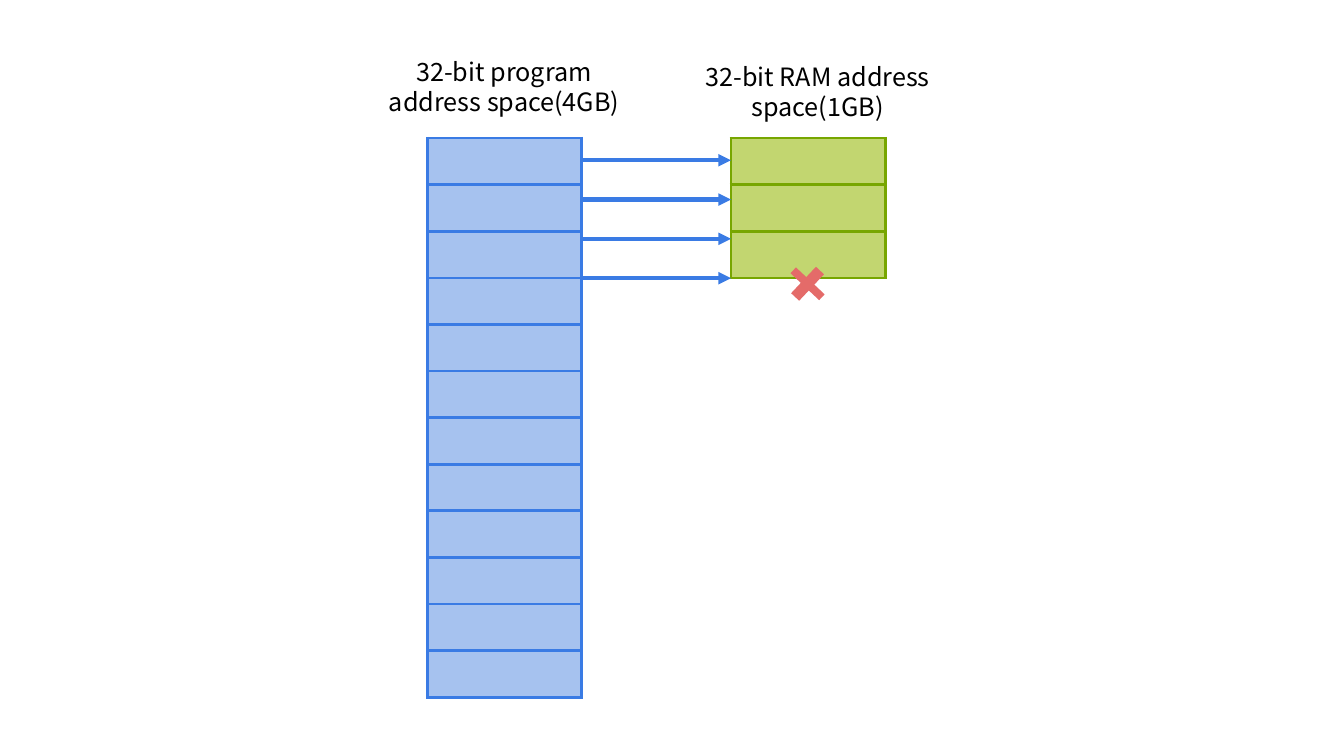
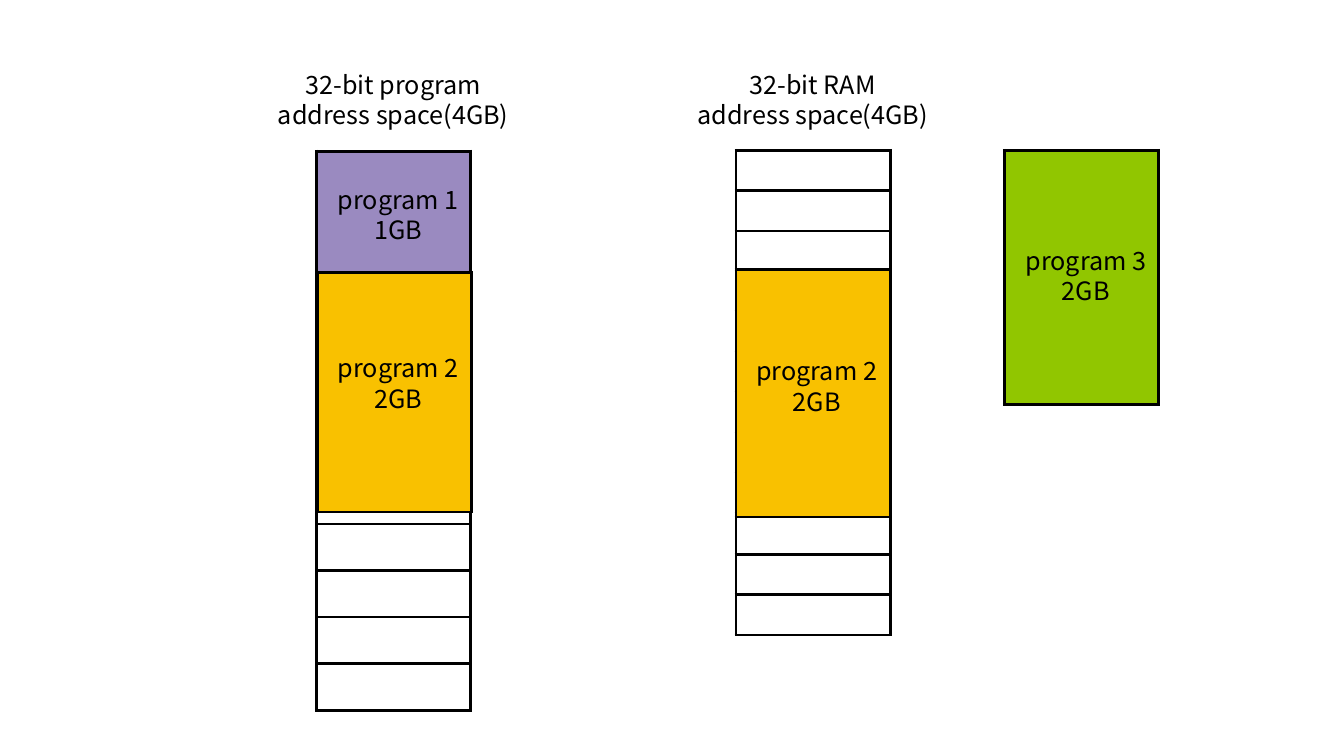
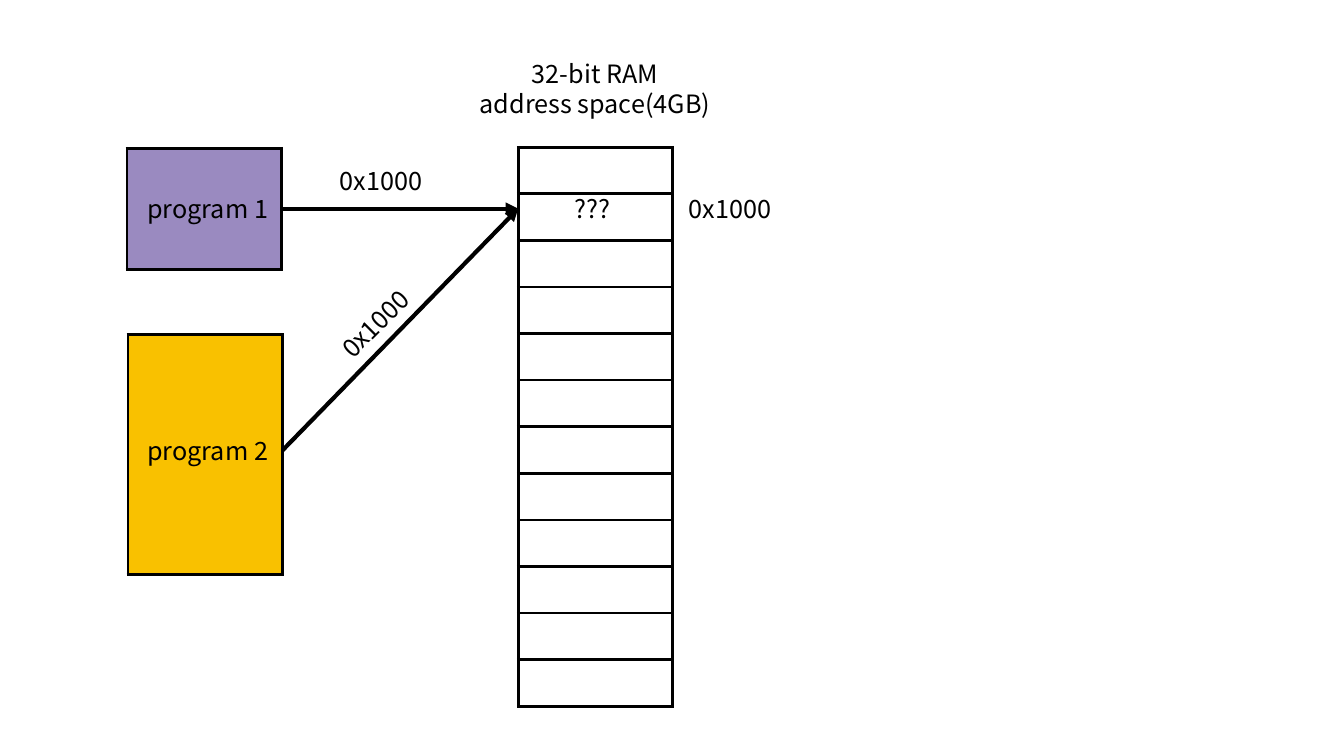
import pptx
import pptx.util
import pptx.dml.color
import pptx.enum.shapes
import pptx.enum.text
import pptx.oxml.ns
import lxml.etree

Inches, Pt = pptx.util.Inches, pptx.util.Pt
RGB = pptx.dml.color.RGBColor.from_string
qn = pptx.oxml.ns.qn

# Theme: colours, type and line widths
THEME = {
    "font": "Noto Sans CJK KR", "size": 18, "leading": 21.6,
    "black": "000000", "white": "FFFFFF",
    "blue": "3A7BE4", "pale_blue": "A6C2EF",
    "green": "77A600", "pale_green": "C2D670",
    "purple": "9A8AC0", "yellow": "F9C100", "lime": "91C600", "red": "E46B69",
    "border": 2.25, "arrow": 3,
}

# Shared measures, in inches
COL_W = 1.53
LABEL_W = 1.61
HEADING_W = 2.69
LINE_H = 0.3
PAGES = 12
TALL, SHORT = 5.55, 4.81

# Content: tables (x, y, height, rows, fill, border), headings and labels
# (lines, centre x, centre y, options), arrows (from, to, colour)
PROGRAM_SPACE = ["32-bit program", "address space(4GB)"]
RAM_SPACE = ["32-bit RAM", "address space(4GB)"]
ADDRESS = ["0x1000"]

SLIDES = [
    {
        "tables": [
            (4.24, 1.37, TALL, PAGES, "pale_blue", "blue"),
            (7.25, 1.37, TALL / 4, PAGES // 4, "pale_green", "green"),
        ],
        "texts": [
            (PROGRAM_SPACE, 5.0, 0.86, {"width": HEADING_W}),
            (["32-bit RAM address space(1GB)"], 8.11, 0.91,
             {"width": 3.02, "height": 0.71}),
        ],
        "arrows": [((5.77, 1.59 + 0.39 * i), (7.25, 1.59 + 0.39 * i), "blue")
                   for i in range(4)],
        "cross": (7.83, 2.62, 0.36, 0.39),
    },
    {
        "tables": [
            (3.14, 1.5, TALL, PAGES, "white", "black"),
            (3.14, 1.5, 1.2, 1, "purple", "black"),
            (3.15, 2.7, 2.38, 1, "yellow", "black"),
            (7.3, 1.49, SHORT, PAGES, "white", "black"),
            (7.3, 2.67, 2.46, 1, "yellow", "black"),
            (9.96, 1.49, 2.52, 1, "lime", "black"),
        ],
        "texts": [
            (PROGRAM_SPACE, 3.9, 0.99, {"width": HEADING_W}),
            (RAM_SPACE, 8.06, 0.99, {"width": HEADING_W}),
            (["program 1", "1GB"], 3.95, 2.13, {}),
            (["program 2", "2GB"], 3.95, 3.8, {}),
            (["program 2", "2GB"], 8.1, 3.83, {}),
            (["program 3", "2GB"], 10.77, 2.73, {}),
        ],
    },
    {
        "tables": [
            (5.14, 1.46, TALL, PAGES, "white", "black"),
            (1.26, 1.47, 1.2, 1, "purple", "black"),
            (1.27, 3.32, 2.38, 1, "yellow", "black"),
        ],
        "texts": [
            (["program 1"], 2.06, 2.07, {}),
            (["program 2"], 2.06, 4.47, {}),
            (RAM_SPACE, 5.9, 0.88, {"width": HEADING_W}),
            (ADDRESS, 7.24, 2.07, {}),
            (["???"], 5.88, 2.07, {}),
            (ADDRESS, 3.78, 1.79, {}),
            (ADDRESS, 3.72, 3.21, {"rotation": 315}),
        ],
        "arrows": [((2.8, y), (5.14, 2.07), "black") for y in (2.07, 4.47)],
    },
]


def add_text(s, lines, cx, cy, width=LABEL_W, height=None, rotation=0):
    """Centred text box placed by its middle point."""
    height = height or LINE_H * len(lines) + 0.1
    sp = s.shapes.add_textbox(Inches(cx - width / 2), Inches(cy - height / 2),
                              Inches(width), Inches(height))
    sp.rotation = rotation
    tf = sp.text_frame
    tf.word_wrap = True
    tf.vertical_anchor = pptx.enum.text.MSO_ANCHOR.MIDDLE
    for i, line in enumerate(lines):
        p = tf.paragraphs[0] if i == 0 else tf.add_paragraph()
        p.alignment = pptx.enum.text.PP_ALIGN.CENTER
        p.line_spacing = Pt(THEME["leading"])
        r = p.add_run()
        r.text = line
        r.font.name = THEME["font"]
        r.font.size = Pt(THEME["size"])
        r.font.color.rgb = RGB(THEME["black"])


def set_borders(cell, color):
    """Solid lines on all four sides, ahead of the cell's fill."""
    tcPr = cell._tc.get_or_add_tcPr()
    for i, side in enumerate(("lnL", "lnR", "lnT", "lnB")):
        ln = lxml.etree.Element(qn("a:" + side), w=str(Pt(THEME["border"])))
        fill = lxml.etree.SubElement(ln, qn("a:solidFill"))
        lxml.etree.SubElement(fill, qn("a:srgbClr"), val=color)
        tcPr.insert(i, ln)


def add_memory(s, x, y, height, rows, fill, border):
    """One-column table of equal memory pages."""
    table = s.shapes.add_table(rows, 1, Inches(x), Inches(y),
                               Inches(COL_W), Inches(height)).table
    table.first_row = table.horz_banding = False
    for row in table.rows:
        row.height = Inches(height / rows)
        cell = row.cells[0]
        cell.margin_top = cell.margin_bottom = 0
        cell.fill.solid()
        cell.fill.fore_color.rgb = RGB(THEME[fill])
        set_borders(cell, THEME[border])


def add_arrow(s, start, end, color):
    c = s.shapes.add_connector(pptx.enum.shapes.MSO_CONNECTOR.STRAIGHT,
                               *map(Inches, start + end))
    c.line.color.rgb = RGB(THEME[color])
    c.line.width = Pt(THEME["arrow"])
    lxml.etree.SubElement(c.line._get_or_add_ln(), qn("a:tailEnd"), type="triangle")
    lxml.etree.SubElement(c._element.spPr, qn("a:effectLst"))


def add_cross(s, *box):
    sp = s.shapes.add_shape(pptx.enum.shapes.MSO_SHAPE.CROSS, *map(Inches, box))
    sp.adjustments[0] = 0.39
    sp.rotation = 313.2
    sp.shadow.inherit = False
    sp.fill.solid()
    sp.fill.fore_color.rgb = RGB(THEME["red"])
    sp.line.fill.background()


def main():
    prs = pptx.Presentation()
    prs.slide_width, prs.slide_height = Inches(13.33), Inches(7.5)
    for content in SLIDES:
        s = prs.slides.add_slide(prs.slide_layouts[6])
        for table in content["tables"]:
            add_memory(s, *table)
        for lines, cx, cy, options in content["texts"]:
            add_text(s, lines, cx, cy, **options)
        for arrow in content.get("arrows", []):
            add_arrow(s, *arrow)
        if "cross" in content:
            add_cross(s, *content["cross"])
    prs.save("out.pptx")


if __name__ == "__main__":
    main()
